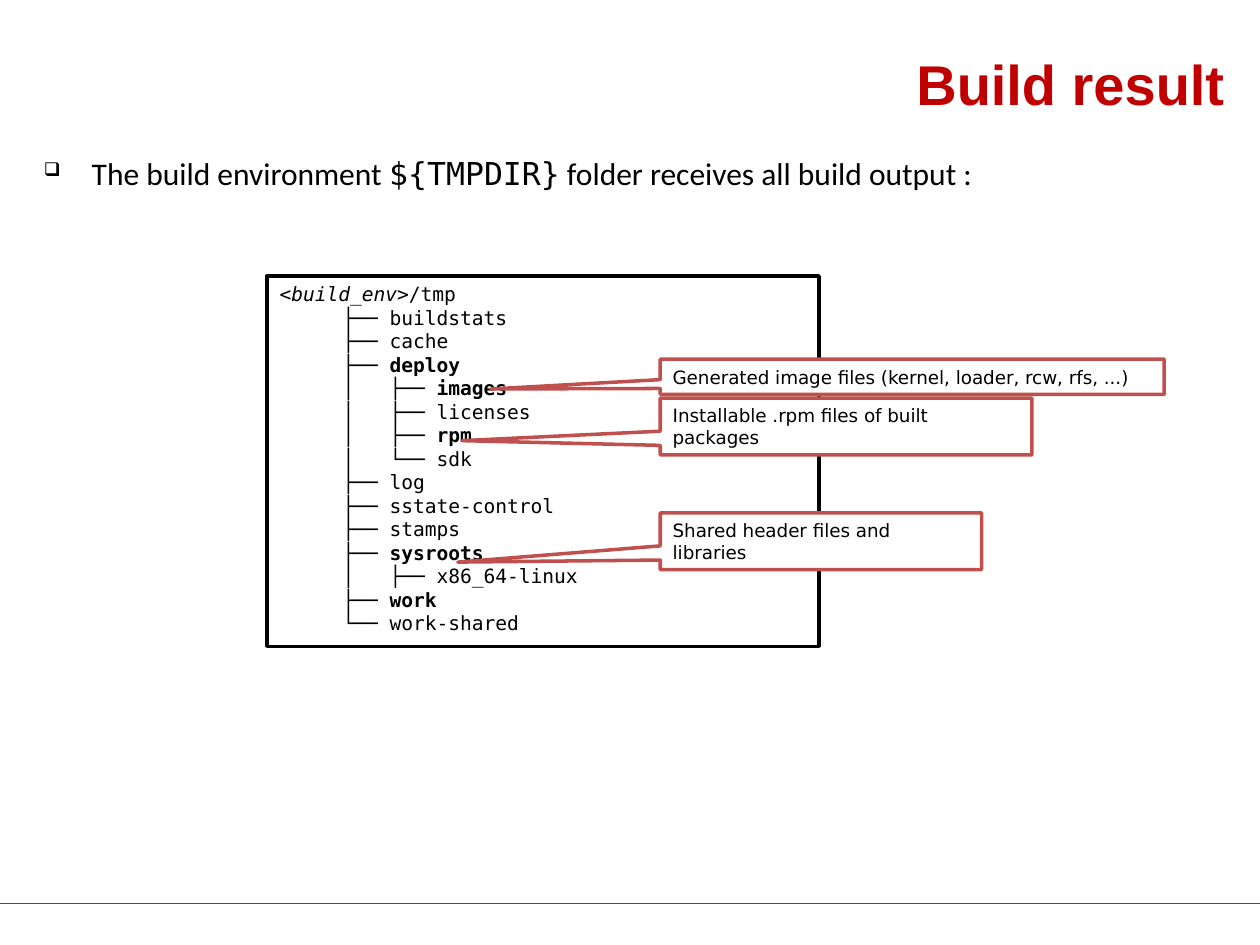
from lxml.etree import SubElement
from pptx import Presentation
from pptx.dml.color import RGBColor
from pptx.enum.shapes import MSO_CONNECTOR, MSO_SHAPE
from pptx.enum.text import MSO_ANCHOR, PP_ALIGN
from pptx.oxml.ns import qn
from pptx.util import Inches, Pt

WIDTH, HEIGHT = 10, 7.5
SANS, MONO = "DejaVu Sans", "DejaVu Sans Mono"
BLACK, WHITE, RED, CRIMSON, ROSE = "000000", "FFFFFF", "C00000", "C0504D", "FC0128"

# Each entry: tree prefix, folder name, bold
FOLDERS = [
    ("├── ", "buildstats", False),
    ("├── ", "cache", False),
    ("├── ", "deploy", True),
    ("│   ├── ", "images", True),
    ("│   ├── ", "licenses", False),
    ("│   ├── ", "rpm", True),
    ("│   └── ", "sdk", False),
    ("├── ", "log", False),
    ("├── ", "sstate-control", False),
    ("├── ", "stamps", False),
    ("├── ", "sysroots", True),
    ("│   ├── ", "x86_64-linux", False),
    ("├── ", "work", True),
    ("└── ", "work-shared", False),
]

# Each entry: text, top, width, height, pointer offset
CALLOUTS = [
    ("Generated image files (kernel, loader, rcw, rfs, ...)", 2.85, 4, 0.28, (-0.836, 0.348)),
    ("Installable .rpm files of built packages", 3.16, 2.95, 0.45, (-1.033, 0.25)),
    ("Shared header files and libraries", 4.07, 2.55, 0.45, (-1.13, 0.369)),
]


def color(hex_string):
    """Return the colour for a hex string."""
    return RGBColor.from_string(hex_string)


def box(left, top, width, height):
    """Return a position and size in inches as lengths."""
    return [Inches(value) for value in (left, top, width, height)]


def style_font(font, name, size, hex_string=BLACK):
    """Set the typeface, size and colour of a font."""
    font.name, font.size = name, Pt(size)
    font.color.rgb = color(hex_string)


def add_run(paragraph, text, bold=None, italic=None, name=None):
    """Append a run, with only the differences from its paragraph."""
    run = paragraph.add_run()
    run.text = text
    run.font.bold, run.font.italic = bold, italic
    if name:
        run.font.name = name


def indent(paragraph, margin, first_line=0):
    """Set the left margin and first-line indent in inches."""
    properties = paragraph._p.get_or_add_pPr()
    properties.set("marL", str(Inches(margin)))
    properties.set("indent", str(Inches(first_line)))
    return properties


class SlideBuilder:
    """Holds the current slide and the style of its elements."""

    def __init__(self, presentation):
        """Add a title-only slide."""
        self.slide = presentation.slides.add_slide(presentation.slide_layouts[5])
        self.shapes = self.slide.shapes

    def title(self, text):
        """Place and format the title."""
        title = self.shapes.title
        title.left, title.top, title.width, title.height = box(0.25, 0.3, 9.57, 0.72)
        title.text_frame.text = text
        title.text_frame.vertical_anchor = MSO_ANCHOR.MIDDLE
        paragraph = title.text_frame.paragraphs[0]
        paragraph.alignment = PP_ALIGN.RIGHT
        style_font(paragraph.font, "Arial", 32, RED)
        paragraph.font.bold = True

    def footer_line(self, top):
        """Draw a thin line across the slide."""
        line = self.shapes.add_connector(
            MSO_CONNECTOR.STRAIGHT, 0, Inches(top), Inches(WIDTH), Inches(top))
        line.line.color.rgb = color(ROSE)
        line.line.width = Pt(0.75)
        SubElement(line._element.spPr, qn("a:effectLst"))

    def bullet(self, parts):
        """Write a bulleted sentence from (text, typeface) parts."""
        frame = self.shapes.add_textbox(*box(0.25, 1.17, 9.57, 5.1)).text_frame
        frame.word_wrap = True
        paragraph = frame.paragraphs[0]
        paragraph.space_before = Pt(3.6)
        style_font(paragraph.font, "Calibri", 18)
        properties = indent(paragraph, 0.38, -0.38)
        bullet_size = SubElement(properties, qn("a:buSzPct"), val="60000")
        bullet_mark = SubElement(properties, qn("a:buChar"), char="❑")
        properties.remove(bullet_size)
        properties.remove(bullet_mark)
        properties.insert(1, bullet_size)
        properties.insert(2, bullet_mark)
        for text, name in parts:
            add_run(paragraph, text, name=name)

    def panel(self, preset, bounds, outline, anchor):
        """Add a white outlined shape and return it."""
        shape = self.shapes.add_shape(preset, *box(*bounds))
        shape.shadow.inherit = False
        shape.fill.solid()
        shape.fill.fore_color.rgb = color(WHITE)
        shape.line.color.rgb = color(outline)
        shape.line.width = Pt(2)
        shape.text_frame.word_wrap = True
        shape.text_frame.vertical_anchor = anchor
        return shape

    def folder_tree(self, bounds, folders):
        """Draw the folder tree in a frame."""
        frame = self.panel(MSO_SHAPE.RECTANGLE, bounds, BLACK, MSO_ANCHOR.TOP).text_frame
        root = frame.paragraphs[0]
        add_run(root, "<build_env>", italic=True)
        add_run(root, "/tmp")
        for prefix, folder, bold in folders:
            paragraph = frame.add_paragraph()
            indent(paragraph, 0.5)
            add_run(paragraph, prefix)
            add_run(paragraph, folder, bold=bold)
        for paragraph in frame.paragraphs:
            paragraph.alignment = PP_ALIGN.LEFT
            style_font(paragraph.font, MONO, 11.2)

    def callout(self, text, top, width, height, pointer):
        """Add a callout whose pointer reaches a folder."""
        shape = self.panel(MSO_SHAPE.RECTANGULAR_CALLOUT, (5.24, top, width, height),
                           CRIMSON, MSO_ANCHOR.MIDDLE)
        shape.adjustments[0], shape.adjustments[1] = pointer
        shape.text_frame.text = text
        paragraph = shape.text_frame.paragraphs[0]
        paragraph.alignment = PP_ALIGN.LEFT
        style_font(paragraph.font, SANS, 10.5)


def main():
    """Build and save the slide."""
    presentation = Presentation()
    presentation.slide_width, presentation.slide_height = Inches(WIDTH), Inches(HEIGHT)
    builder = SlideBuilder(presentation)
    builder.footer_line(7.17)
    builder.title("Build result")
    builder.bullet([("The build environment ", None), ("${TMPDIR}", MONO),
                    (" folder receives all build output :", None)])
    builder.folder_tree((2.12, 2.19, 4.38, 2.94), FOLDERS)
    for callout in CALLOUTS:
        builder.callout(*callout)
    presentation.save("out.pptx")


main()
